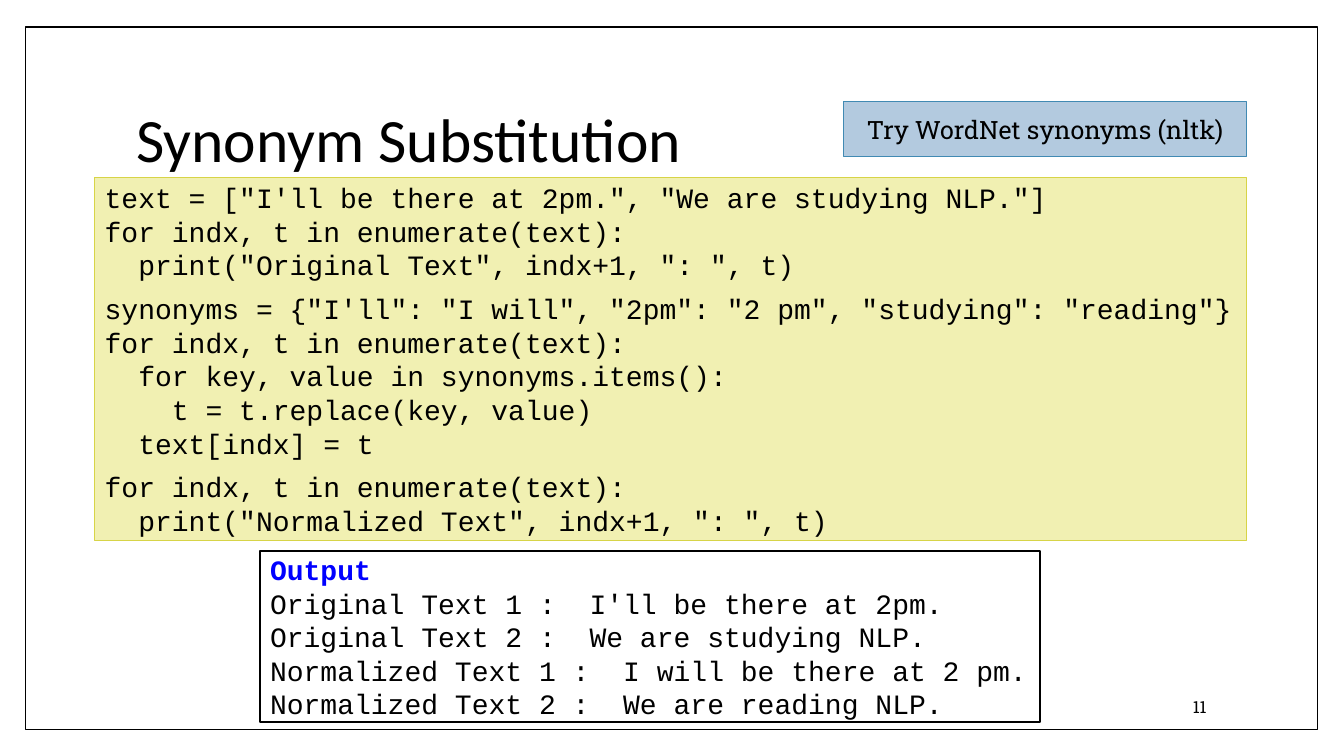
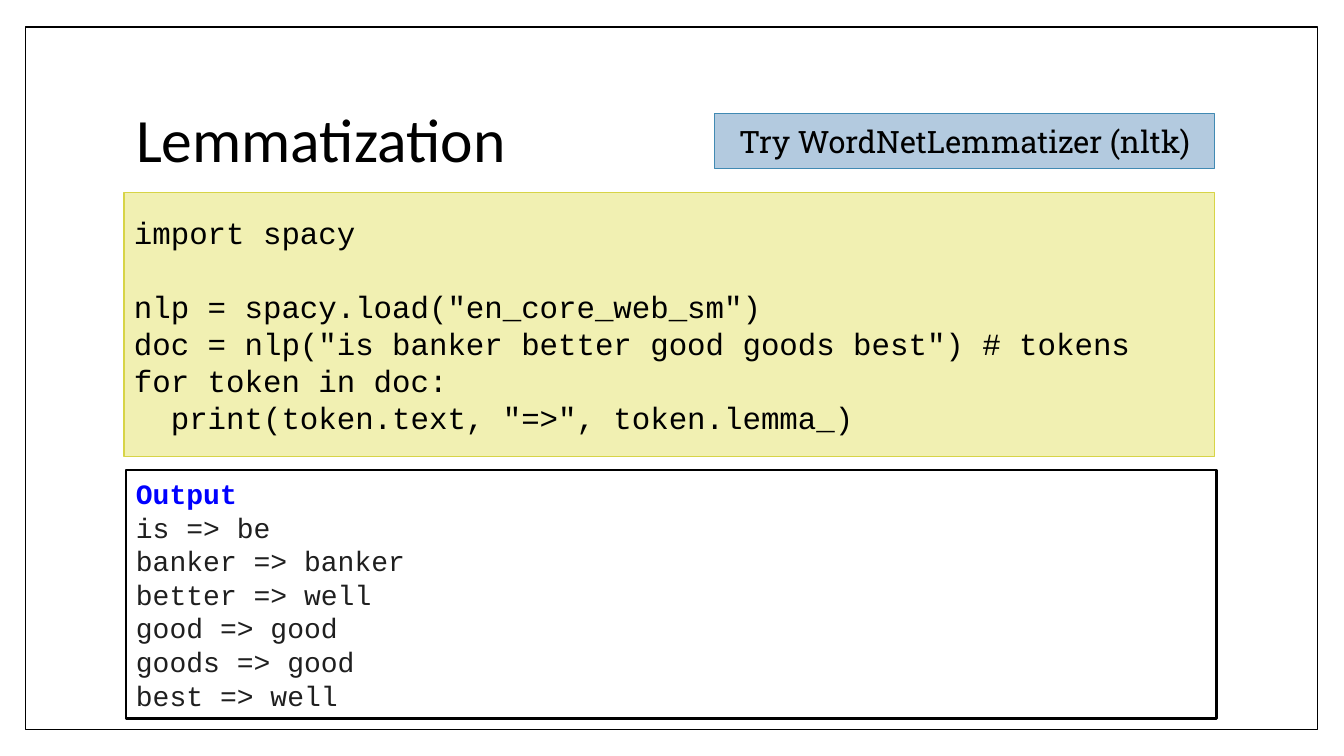
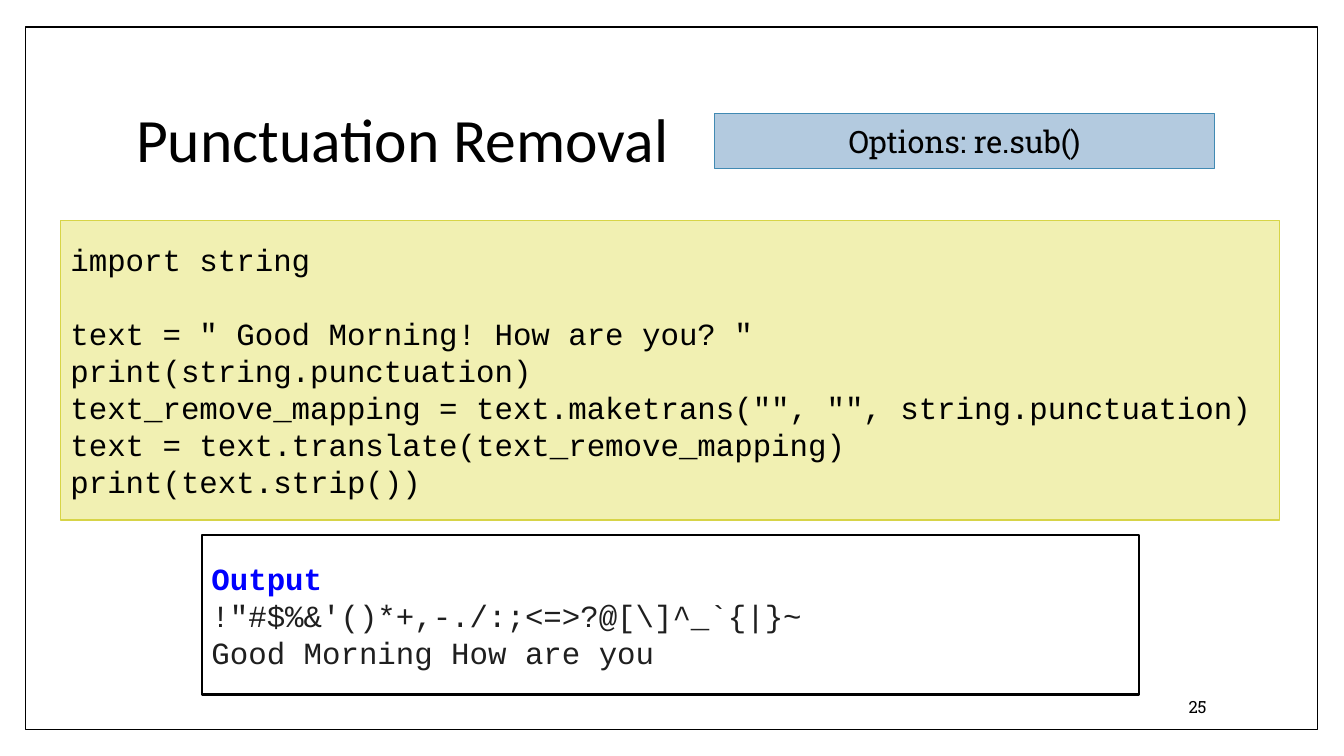
from dataclasses import dataclass
from typing import Optional

from pptx import Presentation
from pptx.dml.color import RGBColor
from pptx.enum.shapes import MSO_SHAPE
from pptx.enum.text import MSO_ANCHOR, MSO_AUTO_SIZE, PP_ALIGN
from pptx.util import Pt

RECTANGLE = MSO_SHAPE.RECTANGLE
MIDDLE = MSO_ANCHOR.MIDDLE
NO_AUTOFIT = MSO_AUTO_SIZE.NONE
LEFT, CENTER, RIGHT = PP_ALIGN.LEFT, PP_ALIGN.CENTER, PP_ALIGN.RIGHT

BLACK = RGBColor(0x00, 0x00, 0x00)
WHITE = RGBColor(0xFF, 0xFF, 0xFF)
INK = RGBColor(0x1F, 0x1F, 0x1F)
BLUE = RGBColor(0x00, 0x00, 0xFF)
CODE_FILL = RGBColor(0xF1, 0xF0, 0xB2)
CODE_LINE = RGBColor(0xD7, 0xD4, 0x47)
TIP_FILL = RGBColor(0xB3, 0xCA, 0xDF)
TIP_LINE = RGBColor(0x41, 0x8A, 0xB3)

TITLE_FONT, CODE_FONT, TIP_FONT = "Calibri", "Courier New", "Roboto Slab"
LINE_HEIGHT = 1.2
TITLE_ONLY = 5


@dataclass(frozen=True)
class Area:
    left: float
    top: float
    width: float
    height: float

    def lengths(self) -> tuple:
        return Pt(self.left), Pt(self.top), Pt(self.width), Pt(self.height)


@dataclass(frozen=True)
class Look:
    fill: RGBColor
    line: RGBColor
    weight: float


@dataclass(frozen=True)
class Panel:
    area: Area
    text: str
    size: float
    color: RGBColor = BLACK
    gap_size: float = 22  # text size whose line height separates code blocks


@dataclass(frozen=True)
class Lesson:
    title: str
    tip: Panel
    code: Panel
    output: Panel
    number: Optional[str] = None


FRAME_LOOK = Look(WHITE, BLACK, 1)
CODE_LOOK = Look(CODE_FILL, CODE_LINE, 0.79)
OUTPUT_LOOK = Look(WHITE, BLACK, 1.5)
TIP_LOOK = Look(TIP_FILL, TIP_LINE, 0.79)

FRAME_AREA = Area(18, 19.4, 923, 501.8)
TITLE_AREA = Area(90, 48.2, 777.6, 106.6)
NUMBER_AREA = Area(734.4, 490.3, 134.6, 28.8)
TIP_AREA = Area(510.5, 81.4, 357.1, 38.9)

LESSONS = [
    Lesson(
        "Synonym Substitution",
        Panel(Area(602.6, 72.7, 288, 38.9), "Try WordNet synonyms (nltk)", 18),
        Panel(Area(67.7, 126.7, 823, 259.2), '''\
text = ["I'll be there at 2pm.", "We are studying NLP."]
for indx, t in enumerate(text):
  print("Original Text", indx+1, ": ", t)

synonyms = {"I'll": "I will", "2pm": "2 pm", "studying": "reading"}
for indx, t in enumerate(text):
  for key, value in synonyms.items():
    t = t.replace(key, value)
  text[indx] = t

for indx, t in enumerate(text):
  print("Normalized Text", indx+1, ": ", t)''', 20, gap_size=6),
        Panel(Area(185.8, 393.8, 557.3, 121.7), '''\
Output
Original Text 1 :  I'll be there at 2pm.
Original Text 2 :  We are studying NLP.
Normalized Text 1 :  I will be there at 2 pm.
Normalized Text 2 :  We are reading NLP.''', 20),
        "11",
    ),
    Lesson(
        "Lemmatization",
        Panel(TIP_AREA, "Try WordNetLemmatizer (nltk)", 22),
        Panel(Area(88.6, 137.5, 779, 188.6), '''\
import spacy

nlp = spacy.load("en_core_web_sm")
doc = nlp("is banker better good goods best") # tokens
for token in doc:
  print(token.text, "=>", token.lemma_)''', 22),
        Panel(Area(90, 335.5, 779, 177.8), '''\
Output
is => be
banker => banker
better => well
good => good
goods => good
best => well''', 20, INK),
    ),
    Lesson(
        "Punctuation Removal",
        Panel(TIP_AREA, "Options: re.sub()", 22),
        Panel(Area(43.2, 157.7, 870.5, 213.8), '''\
import string

text = " Good Morning! How are you? "
print(string.punctuation)
text_remove_mapping = text.maketrans("", "", string.punctuation)
text = text.translate(text_remove_mapping)
print(text.strip())''', 22),
        Panel(Area(144, 382.3, 669.6, 113.8), r'''Output
!"#$%&'()*+,-./:;<=>?@[\]^_`{|}~
Good Morning How are you''', 22, INK),
        "25",
    ),
]


def style_paragraph(para, font: str, size: float, color: RGBColor, align=LEFT) -> None:
    para.alignment = align
    for span in para.runs:
        span.font.name = font
        span.font.size = Pt(size)
        span.font.color.rgb = color


def add_box(page, area: Area, look: Look):
    box = page.shapes.add_shape(RECTANGLE, *area.lengths())
    box.shadow.inherit = False
    box.fill.solid()
    box.fill.fore_color.rgb = look.fill
    box.line.color.rgb = look.line
    box.line.width = Pt(look.weight)
    return box


def add_panel(page, panel: Panel, look: Look, font: str = CODE_FONT, align=LEFT):
    """Draw a filled box; each blank line in its text becomes paragraph spacing."""
    frame = add_box(page, panel.area, look).text_frame
    frame.word_wrap = True
    frame.vertical_anchor = MIDDLE
    blocks = [block.split("\n") for block in panel.text.split("\n\n")]
    frame.text = "\n".join(line for block in blocks for line in block)
    for para in frame.paragraphs:
        style_paragraph(para, font, panel.size, panel.color, align)
    start = 0
    for block in blocks[:-1]:
        start += len(block)
        frame.paragraphs[start].space_before = Pt(round(panel.gap_size * LINE_HEIGHT, 1))
    return frame


def add_output(page, panel: Panel) -> None:
    heading = add_panel(page, panel, OUTPUT_LOOK).paragraphs[0].runs[0]
    heading.font.bold = True
    heading.font.color.rgb = BLUE


def set_title(page, text: str) -> None:
    title = page.shapes.title
    title.left, title.top, title.width, title.height = TITLE_AREA.lengths()
    frame = title.text_frame
    frame.text = text
    frame.auto_size = NO_AUTOFIT
    frame.vertical_anchor = MIDDLE
    para = frame.paragraphs[0]
    para.line_spacing = 0.9
    style_paragraph(para, TITLE_FONT, 44, BLACK)


def add_number(page, number: str) -> None:
    frame = page.shapes.add_textbox(*NUMBER_AREA.lengths()).text_frame
    frame.word_wrap = True
    frame.vertical_anchor = MIDDLE
    frame.text = number
    style_paragraph(frame.paragraphs[0], TIP_FONT, 12, BLACK, RIGHT)


def move_frame_to_layout(page, layout) -> None:
    """Draw the border once and place it behind everything on the layout."""
    border = add_box(page, FRAME_AREA, FRAME_LOOK).element
    border.nvSpPr.cNvPr.set("id", "20")
    layout.shapes.element.insert(2, border)


def add_lesson(deck, layout, lesson: Lesson):
    page = deck.slides.add_slide(layout)
    set_title(page, lesson.title)
    if lesson.number:
        add_number(page, lesson.number)
    add_panel(page, lesson.code, CODE_LOOK)
    add_output(page, lesson.output)
    add_panel(page, lesson.tip, TIP_LOOK, TIP_FONT, CENTER)
    return page


def main() -> None:
    deck = Presentation()
    deck.slide_width, deck.slide_height = Pt(960), Pt(540)
    layout = deck.slide_layouts[TITLE_ONLY]
    pages = [add_lesson(deck, layout, lesson) for lesson in LESSONS]
    move_frame_to_layout(pages[0], layout)
    deck.save("out.pptx")


if __name__ == "__main__":
    main()
